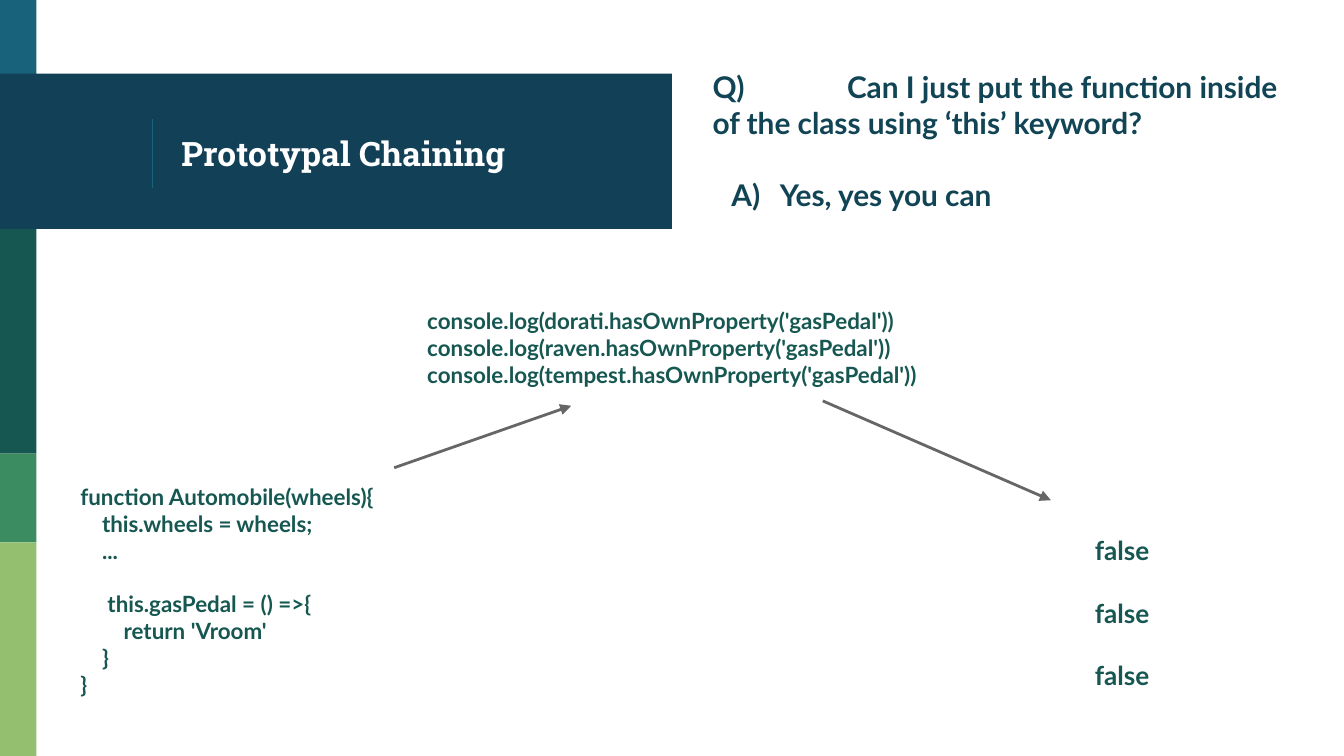
from lxml import etree
from pptx import Presentation
from pptx.dml.color import RGBColor
from pptx.enum.shapes import MSO_CONNECTOR, MSO_SHAPE
from pptx.enum.text import MSO_ANCHOR, PP_ALIGN
from pptx.oxml.ns import qn
from pptx.util import Pt

STRAIGHT = MSO_CONNECTOR.STRAIGHT
RECTANGLE = MSO_SHAPE.RECTANGLE
TOP, MIDDLE = MSO_ANCHOR.TOP, MSO_ANCHOR.MIDDLE
LEFT, CENTER = PP_ALIGN.LEFT, PP_ALIGN.CENTER

WIDTH, HEIGHT = 720, 405
TITLE_ONLY = 5
TEAL, NAVY, INK = "18637B", "124057", "114454"
FOREST, GREEN, LIME = "165751", "3B8D61", "94BF6E"
GREY, WHITE = "666666", "FFFFFF"


def color(value):
    return RGBColor.from_string(value)


class SlideBuilder:
    """Hold the text style and the current slide, and add its elements."""

    body_font = "Lato"
    title_font = "Roboto Slab"
    inset = 7.2

    def __init__(self, presentation):
        layout = presentation.slide_layouts[TITLE_ONLY]
        self.slide = presentation.slides.add_slide(layout)

    def rectangle(self, left, top, width, height, fill):
        box = (Pt(value) for value in (left, top, width, height))
        shape = self.slide.shapes.add_shape(RECTANGLE, *box)
        shape.shadow.inherit = False
        shape.fill.solid()
        shape.fill.fore_color.rgb = color(fill)
        shape.line.fill.background()

    def line(self, start, end, stroke, weight, arrow=False):
        points = (Pt(value) for value in (*start, *end))
        connector = self.slide.shapes.add_connector(STRAIGHT, *points)
        connector.line.color.rgb = color(stroke)
        connector.line.width = Pt(weight)
        if arrow:
            outline = connector.line._get_or_add_ln()
            etree.SubElement(outline, qn("a:tailEnd"), type="triangle")
        etree.SubElement(connector._element.spPr, qn("a:effectLst"))

    def frame(self, shape, anchor):
        frame = shape.text_frame
        frame.word_wrap = True
        frame.vertical_anchor = anchor
        frame.margin_left = frame.margin_right = Pt(self.inset)
        frame.margin_top = frame.margin_bottom = Pt(self.inset)
        return frame

    def style(self, paragraph, name, size, fill, align=LEFT):
        paragraph.alignment = align
        paragraph.font.name = name
        paragraph.font.size = Pt(size)
        paragraph.font.bold = True
        paragraph.font.color.rgb = color(fill)

    def title(self, text, left, top, width, height):
        shape = self.slide.shapes.title
        shape.left, shape.top = Pt(left), Pt(top)
        shape.width, shape.height = Pt(width), Pt(height)
        paragraph = self.frame(shape, MIDDLE).paragraphs[0]
        paragraph.text = text
        self.style(paragraph, self.title_font, 18, WHITE)
        self.slide.shapes._spTree.append(shape._element)

    def text(self, lines, box, size, fill, align=LEFT, spacing=1.0):
        shape = self.slide.shapes.add_textbox(*(Pt(value) for value in box))
        frame = self.frame(shape, TOP)
        for index, line in enumerate(lines):
            paragraph = frame.add_paragraph() if index else frame.paragraphs[0]
            paragraph.text = line
            paragraph.line_spacing = spacing
            self.style(paragraph, self.body_font, size, fill, align)
        return frame.paragraphs

    def indent(self, paragraph, margin, first=0):
        properties = paragraph._p.get_or_add_pPr()
        properties.set("marL", str(Pt(margin)))
        properties.set("indent", str(Pt(first)))
        return properties

    def tab_stop(self, paragraph, position):
        properties = paragraph._p.get_or_add_pPr()
        tabs = etree.SubElement(properties, qn("a:tabLst"))
        etree.SubElement(tabs, qn("a:tab"), pos=str(Pt(position)), algn="l")

    def letter_bullet(self, paragraph, margin, first, fill):
        properties = self.indent(paragraph, margin, first)
        bullet_color = etree.SubElement(properties, qn("a:buClr"))
        etree.SubElement(bullet_color, qn("a:srgbClr"), val=fill)
        etree.SubElement(properties, qn("a:buAutoNum"), type="alphaUcParenR")


presentation = Presentation()
presentation.slide_width, presentation.slide_height = Pt(WIDTH), Pt(HEIGHT)
builder = SlideBuilder(presentation)

side_bands = [(0, 42, TEAL), (122.6, 243, FOREST), (243, 290.6, GREEN), (290.6, HEIGHT, LIME)]
for top, bottom, fill in side_bands:
    builder.rectangle(0, top, 19.5, bottom - top, fill)
builder.rectangle(0, 39.4, 360, 83.2, NAVY)
builder.line((81.7, 64), (81.7, 100.5), TEAL, 0.75)
builder.title("Prototypal Chaining", 90, 42, 253, 80.5)

question, answer = builder.text(
    ["Q) \tCan I just put the function inside of the class using ‘this’ keyword?",
     "Yes, yes you can"],
    (374.7, 29.6, 324, 93), 16, INK)
builder.tab_stop(question, 72)
answer.space_before = Pt(19.4)
builder.letter_bullet(answer, 36, -26, INK)

constructor_code = [
    ("function Automobile(wheels){", 0),
    ("this.wheels = wheels;", 11.6),
    ("...", 11.6),
    ("this.gasPedal = () =>{", 14.5),
    ("return 'Vroom'", 23.2),
    ("}", 11.6),
    ("}", 0),
]
code_lines = builder.text([line for line, _ in constructor_code],
                          (36, 251.6, 202, 129), 12, FOREST)
for paragraph, (_, margin) in zip(code_lines, constructor_code):
    builder.indent(paragraph, margin)
code_lines[3].space_before = Pt(14.4)

motorcycles = ["dorati", "raven", "tempest"]
builder.text([f"console.log({name}.hasOwnProperty('gasPedal'))" for name in motorcycles],
             (221.8, 157.3, 319, 60.5), 12, FOREST)
builder.text(["false"] * len(motorcycles), (549.3, 262.2, 103.7, 107.3), 14, FOREST, CENTER, 2.0)

builder.line((211.2, 250.6), (306, 217.4), GREY, 1.5, arrow=True)
builder.line((440.8, 214.8), (563, 268), GREY, 1.5, arrow=True)

presentation.save("out.pptx")
